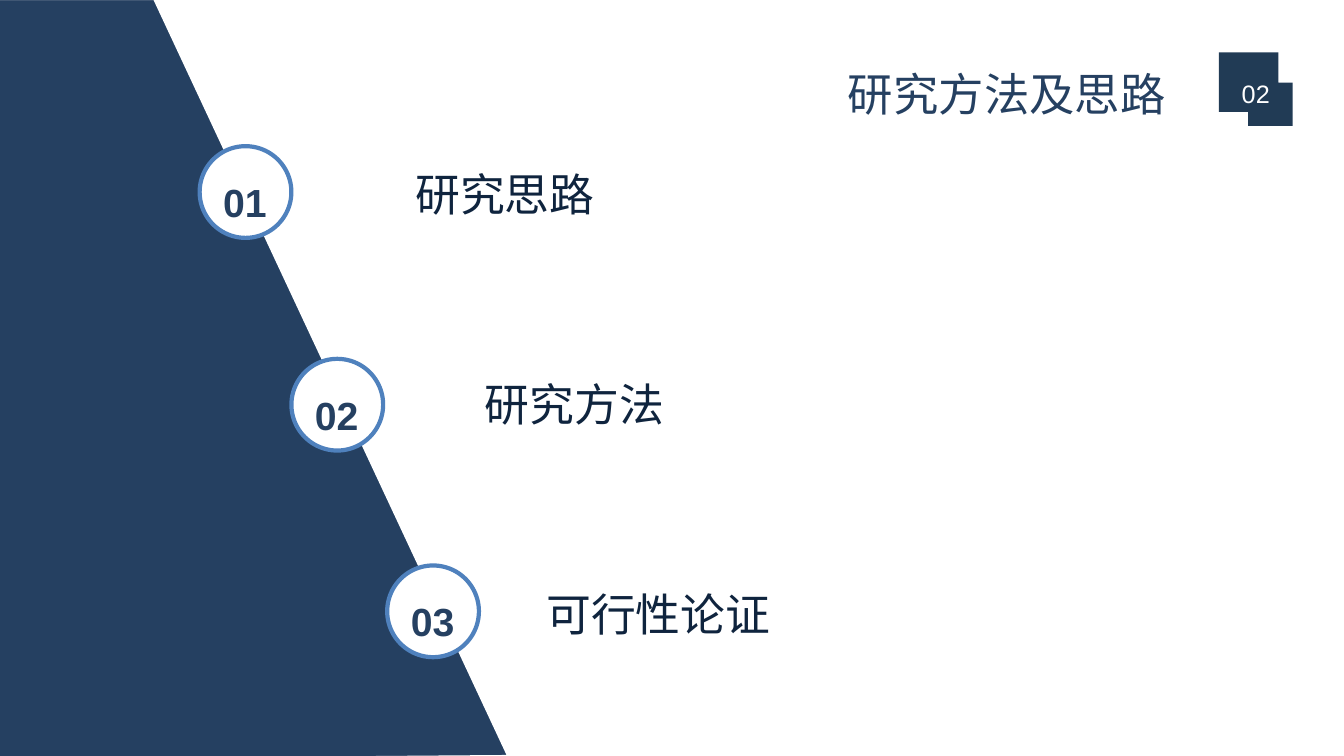
from pptx import Presentation
from pptx.dml.color import RGBColor
from pptx.enum.shapes import MSO_SHAPE as Shape
from pptx.enum.text import MSO_ANCHOR as Anchor, PP_ALIGN as Align
from pptx.util import Inches, Pt

WHITE = RGBColor(0xFF, 0xFF, 0xFF)
NAVY = RGBColor(0x25, 0x40, 0x61)
INK = RGBColor(0x0F, 0x24, 0x3E)
SLATE = RGBColor(0x21, 0x3B, 0x55)
BLUE = RGBColor(0x4F, 0x81, 0xBD)

PANEL = [(504, 750), (153, -1), (-3, -1), (-1, 754)]
BADGE = [(1209, 52), (1268, 52), (1268, 82), (1282, 82),
         (1282, 125), (1238, 125), (1238, 111), (1209, 111)]
SECTIONS = [
    ("01", "研究思路", 1.98, 1.45, 4.02),
    ("02", "研究方法", 2.89, 3.56, 4.71),
    ("03", "可行性论证", 3.84, 5.61, 5.32),
]
LABEL_TOP, LABEL_STEP = 1.45, 2.08
CIRCLE = 0.91


def write(frame, text, size, color, align=Align.CENTER, anchor=Anchor.TOP, bold=False):
    """Put one formatted line of text in a frame."""
    frame.word_wrap = True
    frame.vertical_anchor = anchor
    line = frame.paragraphs[0]
    line.text = text
    line.alignment = align
    line.line_spacing = 1.3
    font = line.runs[0].font
    for key, value in {"name": "Arial", "size": Pt(size), "bold": bold}.items():
        setattr(font, key, value)
    font.color.rgb = color


def add_text(slide, box, text, size, color, **layout):
    """Add a text box at left, top, width, height in inches."""
    frame = slide.shapes.add_textbox(*map(Inches, box)).text_frame
    write(frame, text, size, color, **layout)


def paint(shape, fill, line=None, width=0):
    """Set flat fill and outline."""
    shape.shadow.inherit = False
    shape.fill.solid()
    shape.fill.fore_color.rgb = fill
    if line is None:
        shape.line.fill.background()
    else:
        shape.line.color.rgb = line
        shape.line.width = Pt(width)


def add_outline(slide, points):
    """Add a closed polygon from points in hundredths of an inch."""
    builder = slide.shapes.build_freeform(*points[0], scale=Inches(0.01))
    builder.add_line_segments(points[1:], close=True)
    return builder.convert_to_shape()


def add_marker(slide, number, left, top):
    """Add a numbered circle."""
    circle = slide.shapes.add_shape(
        Shape.OVAL, Inches(left), Inches(top), Inches(CIRCLE), Inches(CIRCLE))
    paint(circle, WHITE, BLUE, 3)
    add_text(slide, (left + 0.08, top + 0.13, 0.74, 0.65), number, 28, NAVY, bold=True)


def main():
    """Build and save the section slide."""
    deck = Presentation()
    deck.slide_width, deck.slide_height = Inches(13.33), Inches(7.5)
    slide = deck.slides.add_slide(deck.slide_layouts[6])

    add_text(slide, (7.04, 0.52, 5.89, 0.73), "研究方法及思路", 32.4, NAVY,
             anchor=Anchor.BOTTOM)
    paint(add_outline(slide, PANEL), NAVY, WHITE, 1.5)

    for index, (number, label, left, top, label_left) in enumerate(SECTIONS):
        add_marker(slide, number, left, top)
        label_top = LABEL_TOP + index * LABEL_STEP
        add_text(slide, (label_left, label_top, 5, 0.9), label, 32, INK, align=Align.LEFT)

    badge = add_outline(slide, BADGE)
    paint(badge, SLATE)
    write(badge.text_frame, "02", 18, WHITE, anchor=Anchor.MIDDLE)

    deck.save("out.pptx")


if __name__ == "__main__":
    main()
